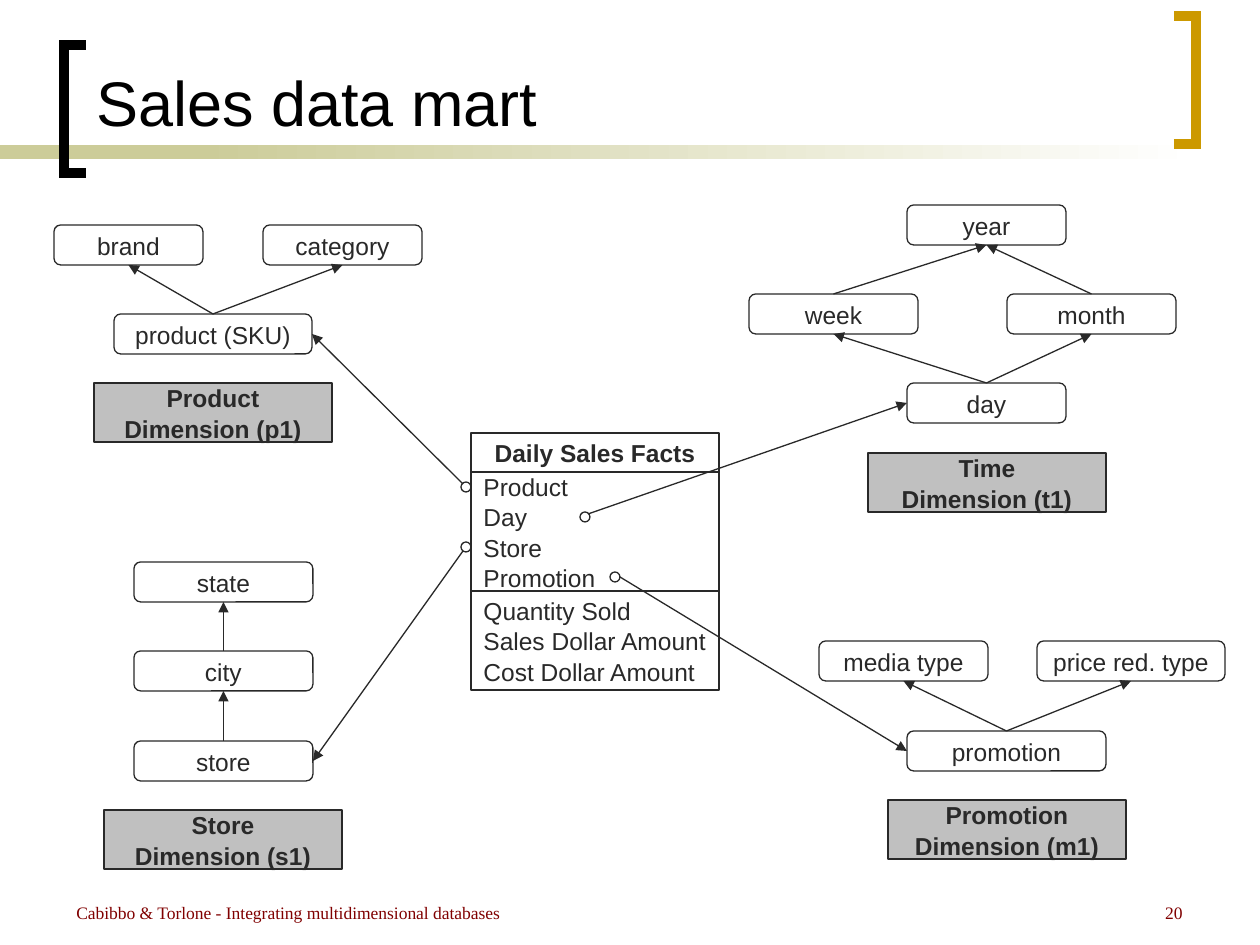
from lxml.etree import SubElement
from pptx import Presentation
from pptx.dml.color import RGBColor
from pptx.enum.shapes import MSO_CONNECTOR, MSO_SHAPE as SHAPE
from pptx.enum.text import MSO_ANCHOR as ANCHOR, PP_ALIGN as ALIGN
from pptx.oxml.ns import qn
from pptx.util import Pt

PX = 914400 / 126
COLORS = {
    "ink": "292929", "black": "000000", "gold": "CC9900", "olive": "CCCC99",
    "white": "FFFFFF", "gray": "C0C0C0", "maroon": "800000",
}
LEVEL_HEIGHT = 40
TOP, LEFT, BOTTOM, RIGHT = range(4)  # connection sites of a box

# name: left, top, width
LEVELS = {
    "brand": (54, 225, 149),
    "category": (263, 225, 159),
    "product (SKU)": (114, 314, 198),
    "year": (907, 205, 159),
    "week": (749, 294, 169),
    "month": (1007, 294, 169),
    "day": (907, 383, 159),
    "state": (134, 562, 179),
    "city": (134, 651, 179),
    "store": (134, 741, 179),
    "media type": (819, 641, 169),
    "price red. type": (1037, 641, 188),
    "promotion": (907, 731, 199),
}
ROLL_UPS = [
    ("product (SKU)", "brand"), ("product (SKU)", "category"),
    ("store", "city"), ("city", "state"),
    ("day", "week"), ("day", "month"), ("week", "year"), ("month", "year"),
    ("promotion", "media type"), ("promotion", "price red. type"),
]
DIMENSIONS = [
    ("Product", "p1", 94, 383),
    ("Time", "t1", 868, 453),
    ("Promotion", "m1", 888, 800),
    ("Store", "s1", 104, 810),
]
# level, its side, marker corner, start of the arrow
FACT_LINKS = [
    ("product (SKU)", RIGHT, (461, 482), (463, 484)),
    ("store", RIGHT, (461, 542), (463, 551)),
    ("day", LEFT, (580, 512), (588, 514)),
    ("promotion", LEFT, (610, 572), (620, 577)),
]


def px(*lengths):
    return [round(length * PX) for length in lengths]


def rgb(name):
    return RGBColor.from_string(COLORS[name])


def write(shape, lines, size, color, font="Arial", bold=False,
          align=ALIGN.LEFT, anchor=ANCHOR.MIDDLE, wrap=False, spacing=None):
    frame = shape.text_frame
    frame.word_wrap = wrap
    frame.vertical_anchor = anchor
    frame.text = "\n".join(lines)
    for paragraph in frame.paragraphs:
        paragraph.alignment = align
        paragraph.line_spacing = spacing
        paragraph.font.size = Pt(size)
        paragraph.font.name = font
        paragraph.font.bold = bold
        paragraph.font.color.rgb = rgb(color)


def add_outlined(slide, kind, box, fill=None):
    shape = slide.shapes.add_shape(kind, *px(*box))
    shape.shadow.inherit = False
    if fill:
        shape.fill.solid()
        shape.fill.fore_color.rgb = rgb(fill)
    else:
        shape.fill.background()
    shape.line.color.rgb = rgb("ink")
    shape.line.width = Pt(0.75)
    return shape


def add_box(slide, kind, box, lines, fill=None, bold=False, align=ALIGN.CENTER):
    shape = add_outlined(slide, kind, box, fill)
    write(shape, lines, 14, "ink", bold=bold, align=align, spacing=1.04)
    return shape


def add_text(slide, box, text, size, color, **style):
    write(slide.shapes.add_textbox(*px(*box)), [text], size, color, wrap=True, **style)


def add_arrow(slide, start, level, site):
    """Start is a point in px, or a box that is left from its top."""
    point = start if isinstance(start, tuple) else (0, 0)
    arrow = slide.shapes.add_connector(MSO_CONNECTOR.STRAIGHT, *px(*point, *point))
    if not isinstance(start, tuple):
        arrow.begin_connect(start, TOP)
    arrow.end_connect(level, site)
    arrow.line.color.rgb = rgb("ink")
    arrow.line.width = Pt(0.75)
    SubElement(arrow.line._get_or_add_ln(), qn("a:tailEnd"), type="triangle")
    SubElement(arrow._element.spPr, qn("a:effectLst"))


def add_bracket(slide, spine, tip, top, bottom, color):
    builder = slide.shapes.build_freeform(tip, bottom, scale=PX)
    builder.add_line_segments([(spine, bottom), (spine, top), (tip, top)], close=False)
    bracket = builder.convert_to_shape()
    bracket.shadow.inherit = False
    bracket.fill.background()
    bracket.line.color.rgb = rgb(color)
    bracket.line.width = Pt(6)
    SubElement(bracket.line._get_or_add_ln(), qn("a:miter"), lim="800000")


def add_band(slide, left, width, end_color):
    band = slide.shapes.add_shape(SHAPE.RECTANGLE, *px(left, 145, width, 14))
    band.shadow.inherit = False
    band.line.fill.background()
    band.fill.gradient()
    band.fill.gradient_angle = 0
    for stop, color in zip(band.fill.gradient_stops, ("olive", end_color)):
        stop.color.rgb = rgb(color)


def add_frame(slide):
    add_band(slide, 0, 294, "olive")
    add_band(slide, 199, 998, "white")
    add_bracket(slide, 64, 86, 45, 173, "black")
    add_bracket(slide, 1196, 1174, 16, 144, "gold")
    add_text(slide, (84, 44, 1091, 101), "Sales data mart", 36, "black",
             anchor=ANCHOR.BOTTOM)
    footer = dict(size=10, color="maroon", font="Times New Roman", anchor=ANCHOR.TOP)
    add_text(slide, (64, 896, 843, 33),
             "Cabibbo & Torlone - Integrating multidimensional databases", **footer)
    add_text(slide, (933, 896, 262, 33), "20", align=ALIGN.RIGHT, **footer)


def add_fact_table(slide):
    add_box(slide, SHAPE.RECTANGLE, (471, 433, 248, 39), ["Daily Sales Facts"], bold=True)
    add_box(slide, SHAPE.RECTANGLE, (471, 472, 248, 119),
            ["Product", "Day", "Store", "Promotion"], align=ALIGN.LEFT)
    add_box(slide, SHAPE.RECTANGLE, (471, 591, 248, 99),
            ["Quantity Sold", "Sales Dollar Amount", "Cost Dollar Amount"],
            align=ALIGN.LEFT)


def main():
    deck = Presentation()
    deck.slide_width, deck.slide_height = px(1260, 945)
    slide = deck.slides.add_slide(deck.slide_layouts[6])
    add_frame(slide)
    add_fact_table(slide)
    for name, code, left, top in DIMENSIONS:
        add_box(slide, SHAPE.RECTANGLE, (left, top, 238, 59),
                [name, f"Dimension ({code})"], fill="gray", bold=True)
    levels = {
        name: add_box(slide, SHAPE.ROUNDED_RECTANGLE, (*place, LEVEL_HEIGHT), [name])
        for name, place in LEVELS.items()
    }
    for lower, upper in ROLL_UPS:
        add_arrow(slide, levels[lower], levels[upper], BOTTOM)
    for name, side, marker, start in FACT_LINKS:
        add_outlined(slide, SHAPE.OVAL, (*marker, 10, 10))
        add_arrow(slide, start, levels[name], side)
    deck.save("out.pptx")


if __name__ == "__main__":
    main()
